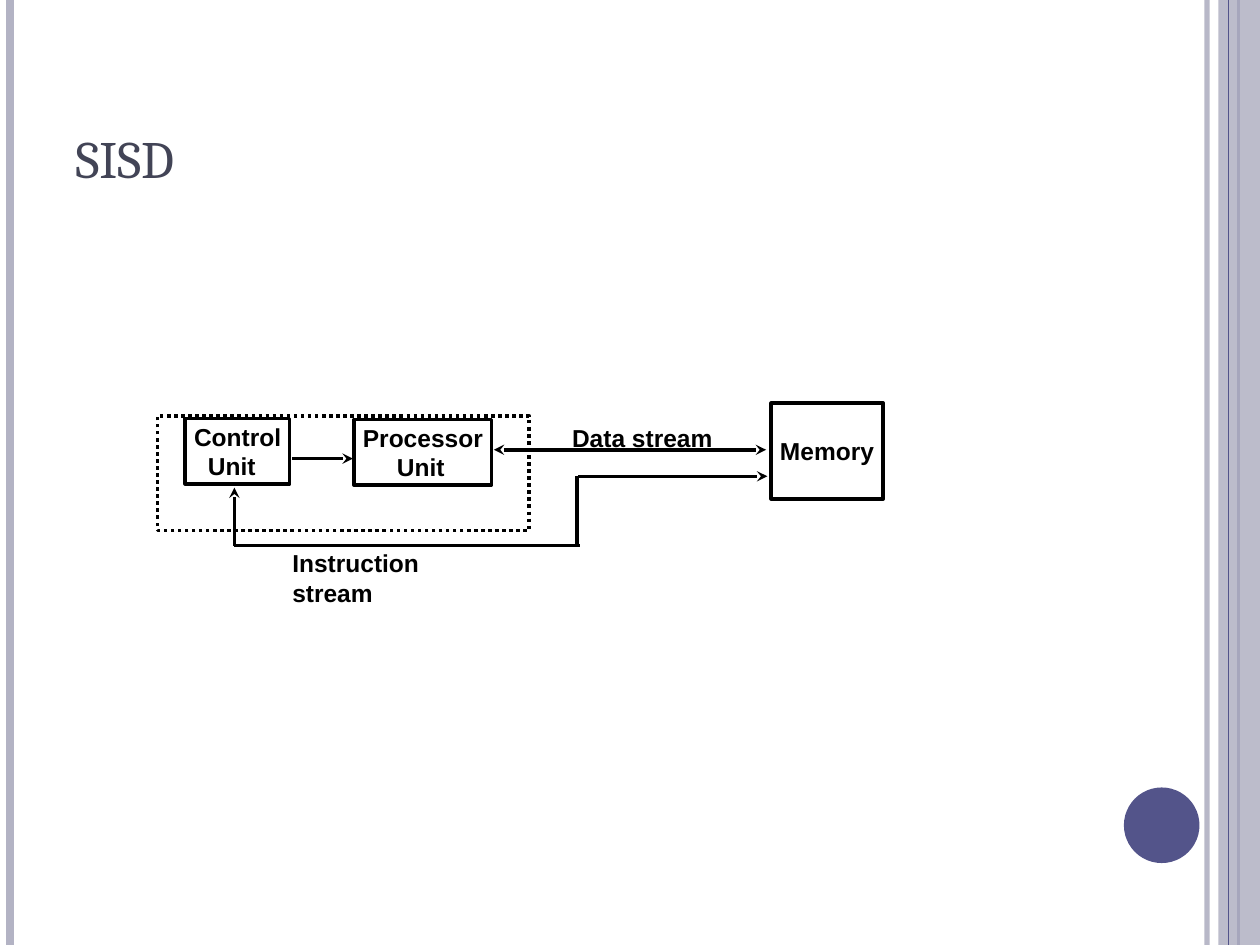
import dataclasses

import pptx
import pptx.dml.color
import pptx.enum.dml
import pptx.enum.shapes
import pptx.enum.text
import pptx.oxml.ns
import pptx.util
from lxml import etree

Inches = pptx.util.Inches
Pt = pptx.util.Pt
Anchor = pptx.enum.text.MSO_ANCHOR
Shape = pptx.enum.shapes.MSO_SHAPE
qn = pptx.oxml.ns.qn


@dataclasses.dataclass(frozen=True)
class Theme:
    ink: str = "000000"
    title_color: str = "424456"
    accent: str = "53548A"
    pale: str = "B3B3C4"
    title_font: str = "Cambria"
    label_font: str = "Arial"
    title_size: float = 30
    label_size: float = 14
    line_width: float = 2


class DiagramSlide:
    def __init__(self, presentation, theme):
        self.theme = theme
        self.slide = presentation.slides.add_slide(presentation.slide_layouts[5])

    def color(self, value):
        return pptx.dml.color.RGBColor.from_string(value)

    def set_alpha(self, fill_owner, percent):
        """Make the solid colour inside the given XML element translucent."""
        color = next(fill_owner.iter(qn("a:srgbClr")))
        etree.SubElement(color, qn("a:alpha")).set("val", str(percent * 1000))

    def style_run(self, run, font, size, color, bold):
        run.font.name = font
        run.font.size = Pt(size)
        run.font.bold = bold
        run.font.color.rgb = self.color(color)

    def title(self, text, left, top, width, height):
        title = self.slide.shapes.title
        title.left, title.top = Inches(left), Inches(top)
        title.width, title.height = Inches(width), Inches(height)
        frame = title.text_frame
        frame.auto_size = pptx.enum.text.MSO_AUTO_SIZE.NONE
        frame.word_wrap = True
        frame.vertical_anchor = Anchor.BOTTOM
        paragraph = frame.paragraphs[0]
        paragraph.alignment = pptx.enum.text.PP_ALIGN.LEFT
        run = paragraph.add_run()
        run.text = text
        self.style_run(run, self.theme.title_font, self.theme.title_size,
                       self.theme.title_color, False)

    def fill_text(self, shape, lines, anchor, last_indent=0):
        """Write left-aligned lines, with the last one indented."""
        frame = shape.text_frame
        frame.word_wrap = False
        frame.vertical_anchor = anchor
        frame.margin_left = frame.margin_right = Inches(0.07)
        frame.margin_top = frame.margin_bottom = Inches(0.03)
        for index, line in enumerate(lines):
            paragraph = frame.paragraphs[0] if index == 0 else frame.add_paragraph()
            paragraph.alignment = pptx.enum.text.PP_ALIGN.LEFT
            run = paragraph.add_run()
            run.text = line
            self.style_run(run, self.theme.label_font, self.theme.label_size,
                           self.theme.ink, True)
        if last_indent:
            paragraph._p.get_or_add_pPr().set("marL", str(Inches(last_indent)))

    def filled_shape(self, kind, left, top, width, height, color, alpha=100):
        shape = self.slide.shapes.add_shape(
            kind, Inches(left), Inches(top), Inches(width), Inches(height))
        shape.shadow.inherit = False
        shape.fill.solid()
        shape.fill.fore_color.rgb = self.color(color)
        shape.line.fill.background()
        if alpha < 100:
            self.set_alpha(shape._element.spPr, alpha)

    def outlined_box(self, left, top, width, height, lines=(), last_indent=0, dash=None):
        shape = self.slide.shapes.add_shape(
            Shape.RECTANGLE, Inches(left), Inches(top), Inches(width), Inches(height))
        shape.shadow.inherit = False
        shape.fill.background()
        shape.line.color.rgb = self.color(self.theme.ink)
        shape.line.width = Pt(self.theme.line_width)
        if dash is not None:
            shape.line.dash_style = dash
        if lines:
            self.fill_text(shape, lines, Anchor.MIDDLE, last_indent)

    def label(self, text, left, top, width, height):
        box = self.slide.shapes.add_textbox(
            Inches(left), Inches(top), Inches(width), Inches(height))
        self.fill_text(box, [text], Anchor.TOP)

    def line(self, start, end, color=None, width=None, alpha=100, arrows=()):
        """Draw a straight line; arrows names its ends: headEnd, tailEnd."""
        connector = self.slide.shapes.add_connector(
            pptx.enum.shapes.MSO_CONNECTOR.STRAIGHT,
            Inches(start[0]), Inches(start[1]), Inches(end[0]), Inches(end[1]))
        connector.line.color.rgb = self.color(color or self.theme.ink)
        connector.line.width = Pt(width or self.theme.line_width)
        if alpha < 100:
            self.set_alpha(connector._element.spPr, alpha)
        outline = connector.line._get_or_add_ln()
        for arrow in arrows:
            etree.SubElement(outline, qn("a:" + arrow)).set("type", "stealth")
        etree.SubElement(connector._element.spPr, qn("a:effectLst"))

    def vertical_rule(self, x, color, width, alpha=100):
        self.line((x, 0), (x, 7.5), color, width, alpha)


def main():
    presentation = pptx.Presentation()
    presentation.slide_width = Inches(10)
    presentation.slide_height = Inches(7.5)
    theme = Theme()
    page = DiagramSlide(presentation, theme)

    page.vertical_rule(9.58, theme.pale, 3, alpha=93)
    page.vertical_rule(0.08, theme.pale, 4.5)
    page.vertical_rule(9.83, theme.accent, 1.5)
    page.filled_shape(Shape.RECTANGLE, 9.67, 0, 0.33, 7.5, theme.pale, alpha=87)
    page.vertical_rule(9.75, theme.accent, 0.75)
    page.filled_shape(Shape.OVAL, 8.92, 6.25, 0.6, 0.6, theme.accent)

    page.title("SISD", 0.5, 0.3, 8.17, 1.25)

    page.outlined_box(1.47, 3.32, 0.83, 0.52, ["Control", "Unit"], last_indent=0.11)
    page.outlined_box(2.81, 3.33, 1.09, 0.52, ["Processor", "Unit"], last_indent=0.27)
    page.outlined_box(6.12, 3.2, 0.89, 0.76, ["Memory"])

    # Control signal and data stream
    page.line((2.32, 3.64), (2.8, 3.64), arrows=["tailEnd"])
    page.line((3.92, 3.57), (6.08, 3.57), arrows=["headEnd", "tailEnd"])

    # Instruction stream between memory and control unit
    page.line((1.86, 4.33), (4.6, 4.33))
    page.line((4.58, 4.32), (4.58, 3.78))
    page.line((4.59, 3.78), (6.09, 3.78), arrows=["tailEnd"])
    page.line((1.86, 4.33), (1.86, 3.87), arrows=["tailEnd"])

    page.outlined_box(1.25, 3.3, 2.95, 0.91,
                      dash=pptx.enum.dml.MSO_LINE.ROUND_DOT)
    page.label("Instruction stream", 2.25, 4.32, 1.84, 0.29)
    page.label("Data stream", 4.47, 3.33, 1.26, 0.29)

    presentation.save("out.pptx")


if __name__ == "__main__":
    main()
